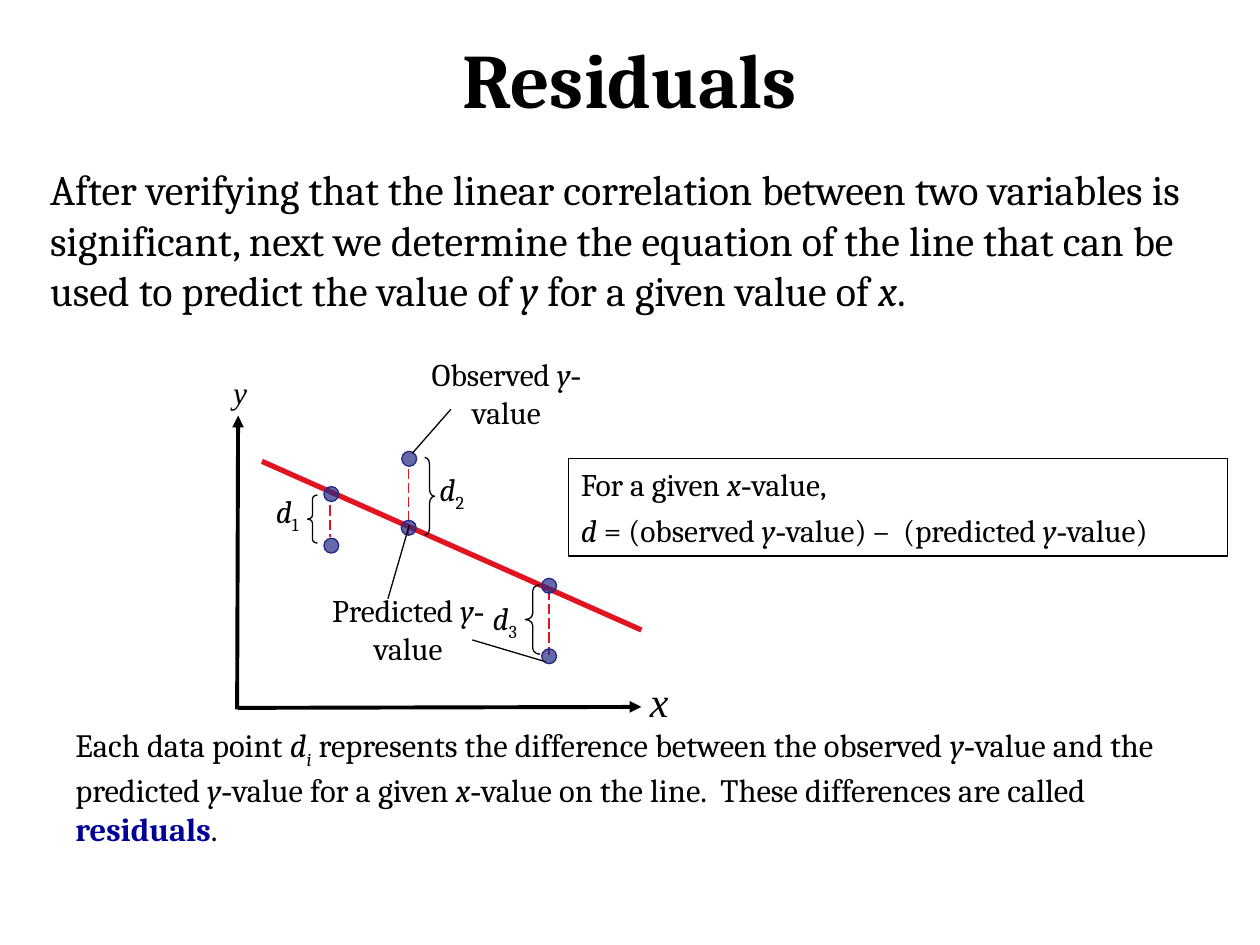
from pptx import Presentation
from pptx.dml.color import RGBColor
from pptx.enum.dml import MSO_LINE
from pptx.enum.shapes import MSO_CONNECTOR, MSO_SHAPE
from pptx.enum.text import MSO_ANCHOR, PP_ALIGN
from pptx.oxml.ns import qn
from pptx.util import Cm, Pt
from lxml.etree import SubElement

BLACK = RGBColor(0x00, 0x00, 0x00)
WHITE = RGBColor(0xFF, 0xFF, 0xFF)
RED = RGBColor(0xE1, 0x15, 0x21)
BLUE = RGBColor(0x24, 0x29, 0x85)
NAVY = RGBColor(0x00, 0x00, 0x99)

SERIF = "Cambria"
TIMES = "Times New Roman"
DOT = 0.3
YVAL = "|i:y|t:-|value"
XVAL = "|i:x|t:-|value"

# Marks that open a piece of text: italic, Times, both, subscript, key term
MARKS = {
    "i": {"italic": True},
    "t": {"name": TIMES},
    "ti": {"name": TIMES, "italic": True},
    "s": {},
    "si": {"italic": True},
    "b": {"bold": True},
}


class Board:
    """Holds the text style and the slide being drawn."""

    def __init__(self, slide):
        self.slide = slide
        self.shapes = slide.shapes
        self.base = {"name": SERIF, "bold": False, "italic": False}

    def put(self, frame, lines, size, align=PP_ALIGN.LEFT, gap=0, **extra):
        """Fill a frame; '|' parts the pieces and 'mark:' formats one."""
        frame.word_wrap = True
        for num, line in enumerate(lines):
            par = frame.add_paragraph() if num else frame.paragraphs[0]
            par.alignment = align
            par.space_before = Pt(gap if num else 0)
            for piece in line.split("|"):
                mark, _, text = piece.rpartition(":")
                run = par.add_run()
                run.text = text
                form = {**self.base, "size": Pt(size), **extra, **MARKS.get(mark, {})}
                for key, val in form.items():
                    setattr(run.font, key, val)
                run.font.color.rgb = NAVY if mark == "b" else BLACK
                if mark in ("s", "si"):
                    run._r.get_or_add_rPr().set("baseline", "-25000")

    def title(self, text, box):
        head = self.shapes.title
        for key, val in zip(("left", "top", "width", "height"), box):
            setattr(head, key, Cm(val))
        head.text_frame.vertical_anchor = MSO_ANCHOR.MIDDLE
        self.put(head.text_frame, [text], 44, PP_ALIGN.CENTER, bold=True)

    def text(self, line, box, size=18, align=PP_ALIGN.LEFT):
        item = self.shapes.add_textbox(*map(Cm, box))
        self.put(item.text_frame, [line], size, align)

    def line(self, start, end, color=BLACK, width=0.75, dash=None, arrow=False):
        item = self.shapes.add_connector(
            MSO_CONNECTOR.STRAIGHT, *map(Cm, (*start, *end)))
        item.line.color.rgb = color
        item.line.width = Pt(width)
        if dash:
            item.line.dash_style = dash
        if arrow:
            SubElement(item.get_or_add_ln(), qn("a:tailEnd"), type="triangle")
        SubElement(item._element.spPr, qn("a:effectLst"))

    def shape(self, kind, box, fill=None, color=BLACK):
        item = self.shapes.add_shape(kind, *map(Cm, box))
        item.shadow.inherit = False
        if fill is None:
            item.fill.background()
        else:
            item.fill.solid()
            item.fill.fore_color.rgb = fill
        item.line.color.rgb = color
        item.line.width = Pt(0.75)
        return item

    def dot(self, x, y):
        box = (x - DOT / 2, y - DOT / 2, DOT, DOT)
        item = self.shape(MSO_SHAPE.OVAL, box, BLUE, BLUE)
        tint = item._element.spPr.find(qn("a:solidFill"))[0]
        SubElement(tint, qn("a:alpha"), val="70000")

    def brace(self, kind, box, curve):
        self.shape(kind, box).adjustments[0] = curve

    def panel(self, lines, box):
        item = self.shape(MSO_SHAPE.RECTANGLE, box, WHITE)
        item.text_frame.vertical_anchor = MSO_ANCHOR.TOP
        self.put(item.text_frame, lines, 18, gap=4.5)


def plot(board):
    for x, top, low in ((8.23, 9.45, 10.8), (6.65, 10.19, 10.82), (11.07, 11.89, 13.21)):
        board.line((x, top), (x, low), RED, dash=MSO_LINE.LONG_DASH)
    board.line((5.28, 9.3), (12.93, 12.7), RED, 3)
    board.line((4.8, 14.27), (12.93, 14.25), width=2.25, arrow=True)
    board.line((4.78, 14.3), (4.8, 8.38), width=2.25, arrow=True)
    board.text("ti:x", (12.85, 13.49, 1.5, 1.27), 24)
    board.text("ti:y", (4.45, 7.39, 1.75, 1.02))

    for x, y in ((6.68, 11), (6.68, 9.96), (8.25, 9.25),
                 (11.07, 11.81), (8.24, 10.64), (11.07, 13.23)):
        board.dot(x, y)

    gaps = (
        ((5.31, 9.8), MSO_SHAPE.LEFT_BRACE, (6.2, 9.98, 0.2, 0.97), 0.4),
        ((8.61, 9.35), MSO_SHAPE.RIGHT_BRACE, (8.56, 9.22, 0.2, 1.57), 0.7),
        ((9.68, 11.96), MSO_SHAPE.LEFT_BRACE, (10.59, 11.79, 0.3, 1.4), 0.4),
    )
    for num, (spot, kind, box, curve) in enumerate(gaps, 1):
        board.text(f"i:d|s:{num}", (*spot, 1.09, 1.12))
        board.brace(kind, box, curve)


def notes(board):
    board.panel(
        ["For a given " + XVAL + ",",
         "i:d| = (observed " + YVAL + ") –  (predicted " + YVAL + ")"],
        (11.46, 9.25, 13.28, 1.96))
    for word, spot in (("Observed ", (8.28, 7.04)), ("Predicted ", (6.3, 11.79))):
        board.text(word + YVAL, (*spot, 3.86, 1.78), align=PP_ALIGN.CENTER)
    for start, end in (((9.09, 8.25), (8.31, 9.14)),
                       ((7.82, 12.07), (8.25, 10.59)),
                       ((9.52, 12.9), (11, 13.34))):
        board.line(start, end)


def main():
    deck = Presentation()
    deck.slide_width, deck.slide_height = Cm(25.4), Cm(19.05)
    board = Board(deck.slides.add_slide(deck.slide_layouts[5]))
    board.title("Residuals", (0, 0.2, 25.4, 2.74))
    board.text(
        "After verifying that the linear correlation between two variables is "
        "significant, next we determine the equation of the line that can be "
        "used to predict the value of |i:y| for a given value of |i:x|.",
        (0.76, 3.18, 23.29, 4.34), 24)
    board.text(
        "Each data point |i:d|si:i| represents the difference between the "
        "observed " + YVAL + " and the predicted " + YVAL + " for a given " + XVAL
        + " on the line.  These differences are called |b:residuals|.",
        (1.27, 14.5, 23.29, 2.84), 18.6)
    plot(board)
    notes(board)
    deck.save("out.pptx")


if __name__ == "__main__":
    main()
